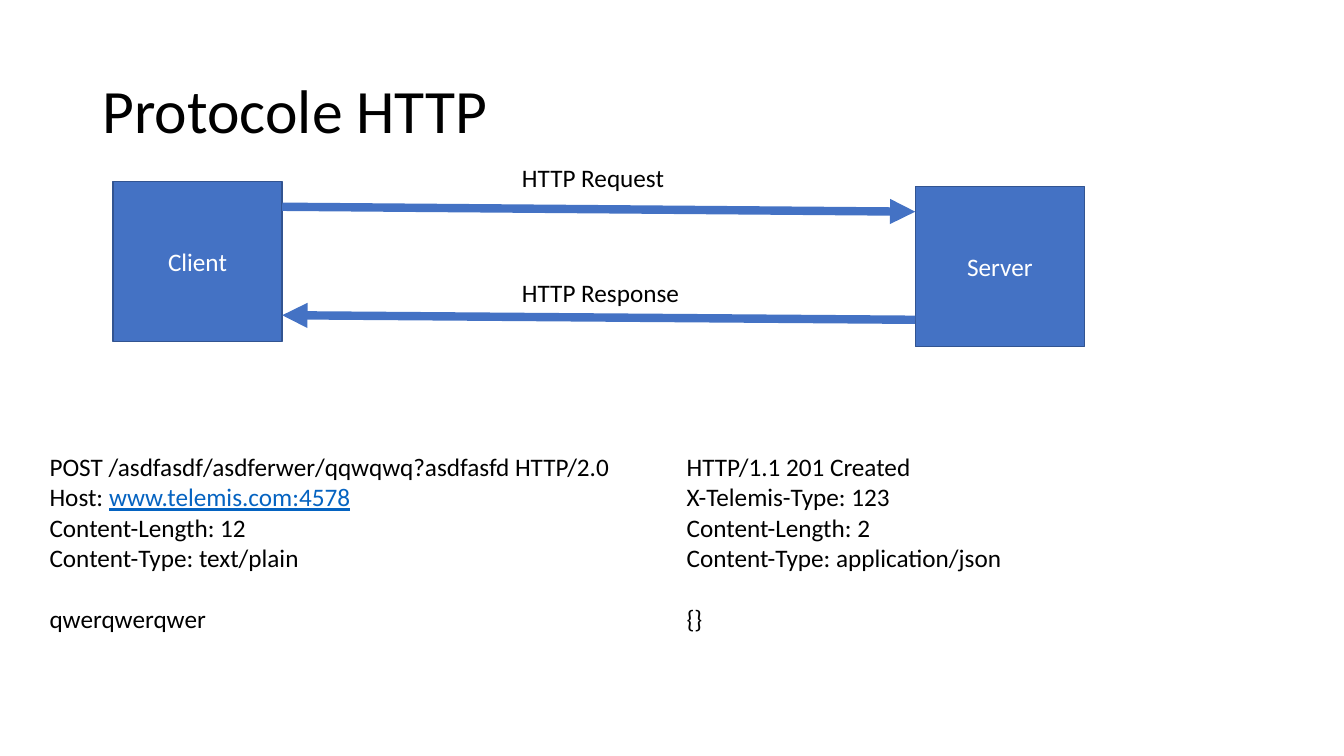
from lxml.etree import SubElement
from pptx import Presentation
from pptx.dml.color import RGBColor
from pptx.enum.shapes import MSO_CONNECTOR, MSO_SHAPE
from pptx.enum.text import MSO_ANCHOR, MSO_AUTO_SIZE, PP_ALIGN
from pptx.oxml.ns import qn
from pptx.util import Inches, Pt

WIDTH, HEIGHT = Inches(13.33), Inches(7.5)
COLORS = {"text": "000000", "node": "4472C4", "border": "325491",
          "node_text": "FFFFFF", "address": "0563C1"}
BODY = {"name": "Calibri", "size": Pt(18)}
TITLE = {"name": "Calibri", "size": Pt(44)}
ADDRESS = {**BODY, "underline": True}
LABEL_FRAME = {"word_wrap": False, "auto_size": MSO_AUTO_SIZE.SHAPE_TO_FIT_TEXT}
TITLE_FRAME = {"word_wrap": True, "vertical_anchor": MSO_ANCHOR.MIDDLE}
BLANK_LINE = Pt(22)

NODE_WIDTH, NODE_HEIGHT = 12.6, 21.2
CLIENT_LEFT, SERVER_LEFT = 8.4, 68.1
CLIENT_RIGHT = CLIENT_LEFT + NODE_WIDTH
LABEL_LEFT, LABEL_HEIGHT = 38.1, 5.35
MESSAGE_TOP, MESSAGE_HEIGHT = 59.05, 25.6

REQUEST = [
    [("POST /asdfasdf/asdferwer/qqwqwq?asdfasfd HTTP/2.0", "text", BODY)],
    [("Host: ", "text", BODY), ("www.telemis.com:4578", "address", ADDRESS)],
    [("Content-Length: 12", "text", BODY)],
    [("Content-Type: text/plain", "text", BODY)],
    [("qwerqwerqwer", "text", BODY)],
]
RESPONSE = [[(line, "text", BODY)] for line in (
    "HTTP/1.1 201 Created", "X-Telemis-Type: 123", "Content-Length: 2",
    "Content-Type: application/json", "{}")]


def across(percent):
    return round(WIDTH * percent / 100)


def down(percent):
    return round(HEIGHT * percent / 100)


def area(left, top, width, height):
    return across(left), down(top), across(width), down(height)


def apply(target, values):
    for attribute, value in values.items():
        setattr(target, attribute, value)


def add_run(paragraph, words, color, style):
    run = paragraph.add_run()
    run.text = words
    apply(run.font, style)
    run.font.color.rgb = RGBColor.from_string(COLORS[color])


def add_text(slide, place, lines, frame_style):
    frame = slide.shapes.add_textbox(*area(*place)).text_frame
    apply(frame, frame_style)
    for index, line in enumerate(lines):
        paragraph = frame.add_paragraph() if index else frame.paragraphs[0]
        for piece in line:
            add_run(paragraph, *piece)
    return frame


def add_message(slide, left, width, lines):
    place = left, MESSAGE_TOP, width, MESSAGE_HEIGHT
    message = add_text(slide, place, lines, LABEL_FRAME)
    message.paragraphs[-1].space_before = BLANK_LINE


def add_node(slide, left, top, name):
    node = slide.shapes.add_shape(
        MSO_SHAPE.RECTANGLE, *area(left, top, NODE_WIDTH, NODE_HEIGHT))
    node.shadow.inherit = False
    node.fill.solid()
    node.fill.fore_color.rgb = RGBColor.from_string(COLORS["node"])
    node.line.color.rgb = RGBColor.from_string(COLORS["border"])
    node.line.width = Pt(1)
    node.text_frame.vertical_anchor = MSO_ANCHOR.MIDDLE
    caption = node.text_frame.paragraphs[0]
    caption.alignment = PP_ALIGN.CENTER
    add_run(caption, name, "node_text", BODY)


def add_arrow(slide, start, end):
    arrow = slide.shapes.add_connector(
        MSO_CONNECTOR.STRAIGHT, across(start[0]), down(start[1]),
        across(end[0]), down(end[1]))
    arrow.line.color.rgb = RGBColor.from_string(COLORS["node"])
    arrow.line.width = Pt(6)
    SubElement(arrow.line._get_or_add_ln(), qn("a:tailEnd"), type="triangle")
    SubElement(arrow._element.spPr, qn("a:effectLst"))


def main():
    presentation = Presentation()
    apply(presentation, {"slide_width": WIDTH, "slide_height": HEIGHT})
    slide = presentation.slides.add_slide(presentation.slide_layouts[6])

    title = add_text(slide, (6.9, 5.35, 86.25, 19.3),
                     [[("Protocole HTTP", "text", TITLE)]], TITLE_FRAME)
    title.paragraphs[0].line_spacing = 0.9

    add_node(slide, CLIENT_LEFT, 24, "Client")
    add_node(slide, SERVER_LEFT, 24.65, "Server")
    add_arrow(slide, (CLIENT_RIGHT, 27.35), (SERVER_LEFT, 28))
    add_arrow(slide, (SERVER_LEFT, 42.3), (CLIENT_RIGHT, 41.7))

    for name, top, width in (("HTTP Request", 20.8, 12.2),
                             ("HTTP Response", 36, 13.35)):
        add_text(slide, (LABEL_LEFT, top, width, LABEL_HEIGHT),
                 [[(name, "text", BODY)]], LABEL_FRAME)

    add_message(slide, 2.95, 43.6, REQUEST)
    add_message(slide, 50.35, 25.3, RESPONSE)
    presentation.save("out.pptx")


if __name__ == "__main__":
    main()
